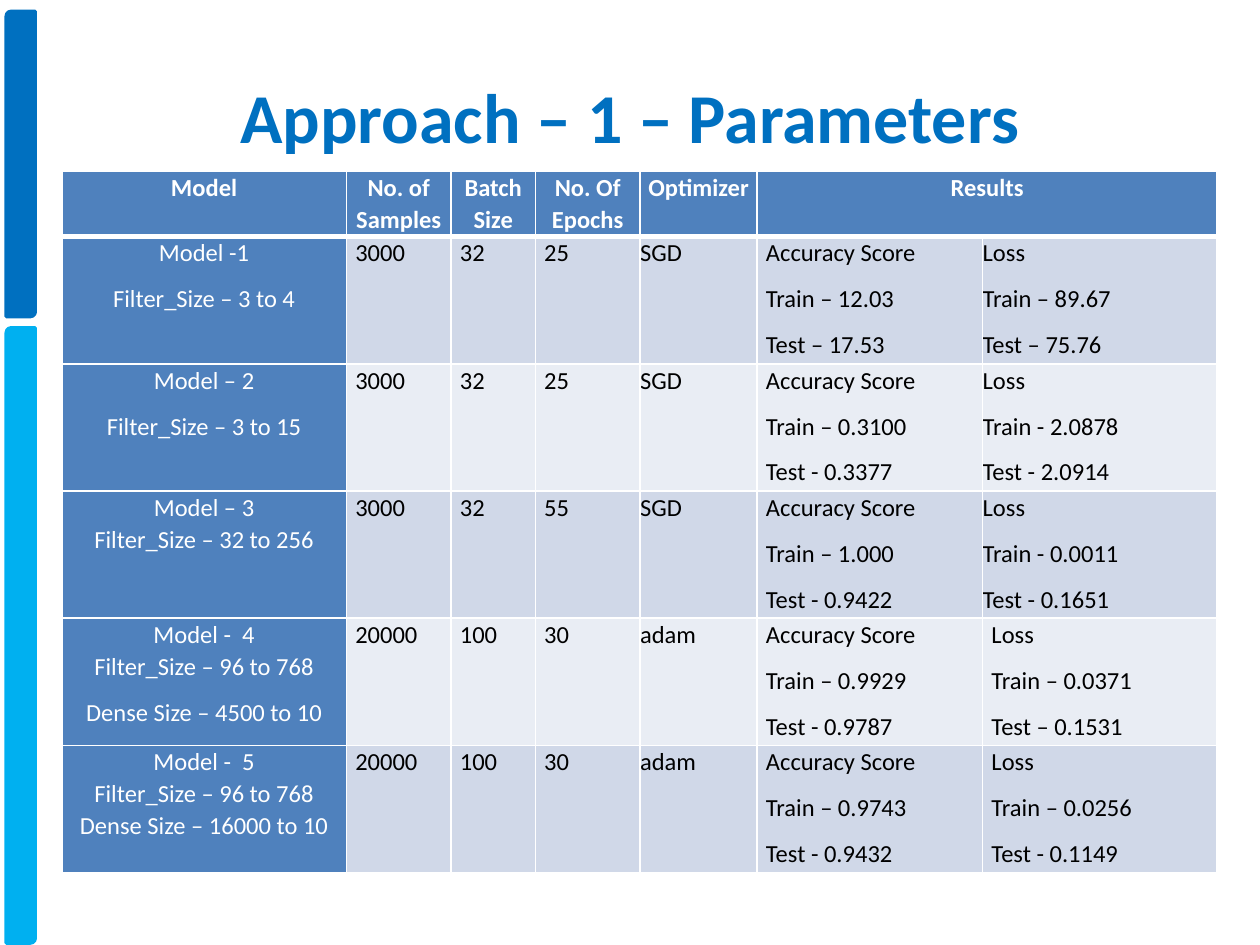
import copy
import dataclasses

import lxml.etree
import pptx
import pptx.dml.color
import pptx.enum.shapes
import pptx.enum.text
import pptx.oxml.ns
import pptx.util


@dataclasses.dataclass(frozen=True)
class Theme:
    """Hold the colours, font and type sizes of the slide."""

    font: str = "Calibri"
    title_size: int = 40
    cell_size: int = 14
    title: str = "0070C0"
    accent: str = "00B0F0"
    head: str = "4F81BD"
    bands: tuple = ("D0D8E8", "E9EDF4")
    white: str = "FFFFFF"
    black: str = "000000"


THEME = Theme()
WIDTH, HEIGHT = 10, 7.5
COLUMNS = (2.26, 0.83, 0.67, 0.83, 0.93, 1.79, 1.86)
HEAD_HEIGHT, ROW_HEIGHT = 0.52, 1.01
INSET = 0.07
OPTIMIZER, RESULTS, LOSS = 4, 5, 6
HEADINGS = ("Model", "No. of Samples", "Batch Size", "No. Of Epochs", "Optimizer", "Results", "")
MODELS = (
    ("Model -1\nFilter_Size – 3 to 4", "3000", "32", "25", "SGD",
     "Train – 12.03\nTest – 17.53", "Train – 89.67\nTest – 75.76"),
    ("Model – 2\nFilter_Size – 3 to 15", "3000", "32", "25", "SGD",
     "Train – 0.3100\nTest - 0.3377", "Train - 2.0878\nTest - 2.0914"),
    ("Model – 3\vFilter_Size – 32 to 256", "3000", "32", "55", "SGD",
     "Train – 1.000\nTest - 0.9422", "Train - 0.0011\nTest - 0.1651"),
    ("Model -  4\vFilter_Size – 96 to 768\nDense Size – 4500 to 10", "20000", "100", "30", "adam",
     "Train – 0.9929\nTest - 0.9787", "Train – 0.0371\nTest – 0.1531"),
    ("Model -  5\vFilter_Size – 96 to 768\vDense Size – 16000 to 10", "20000", "100", "30", "adam",
     "Train – 0.9743\nTest - 0.9432", "Train – 0.0256\nTest - 0.1149"),
)
FLUSH_LOSS_ROWS = (1, 2, 3)


def rgb(value):
    """Return a colour object for a hex string."""
    return pptx.dml.color.RGBColor.from_string(value)


def box(x, y, w, h):
    """Return a position and size given as shares of the slide."""
    return [pptx.util.Inches(n) for n in (x * WIDTH, y * HEIGHT, w * WIDTH, h * HEIGHT)]


def style_runs(p, size, color, bold):
    """Format the runs and line breaks of a paragraph."""
    for r in p.runs:
        r.font.name = THEME.font
        r.font.size = pptx.util.Pt(size)
        r.font.bold = bold
        r.font.color.rgb = rgb(color)
    for br in p._p.findall(pptx.oxml.ns.qn("a:br")):
        br.append(copy.deepcopy(p.runs[0].font._element))


def add_bar(s, top, height, color):
    """Add one bar at the left edge."""
    sp = s.shapes.add_shape(
        pptx.enum.shapes.MSO_SHAPE.ROUND_2_DIAG_RECTANGLE, *box(0.005, top, 0.023, height))
    sp.shadow.inherit = False
    sp.fill.solid()
    sp.fill.fore_color.rgb = rgb(color)
    sp.line.color.rgb = rgb(color)
    sp.line.width = pptx.util.Pt(2)


def set_title(s, text):
    """Place and format the title placeholder."""
    sp = s.shapes.title
    sp.left, sp.top, sp.width, sp.height = box(0.05, 0.039, 0.9, 0.167)
    tf = sp.text_frame
    tf.text = text
    tf.vertical_anchor = pptx.enum.text.MSO_ANCHOR.MIDDLE
    tf.paragraphs[0].alignment = pptx.enum.text.PP_ALIGN.CENTER
    style_runs(tf.paragraphs[0], THEME.title_size, THEME.title, True)


def set_borders(cell, top=1, bottom=1):
    """Draw white borders round a cell, with widths in points."""
    qn = pptx.oxml.ns.qn
    tc_pr = cell._tc.get_or_add_tcPr()
    for i, (side, width) in enumerate((("L", 1), ("R", 1), ("T", top), ("B", bottom))):
        ln = lxml.etree.Element(qn(f"a:ln{side}"), w=str(pptx.util.Pt(width)))
        fill = lxml.etree.SubElement(ln, qn("a:solidFill"))
        lxml.etree.SubElement(fill, qn("a:srgbClr"), val=THEME.white)
        tc_pr.insert(i, ln)


def fill_cell(cell, text, row, col):
    """Write one cell and style it by its row and column."""
    head = row == 0
    label = head or col == 0
    flush = col == OPTIMIZER or (col == LOSS and row in FLUSH_LOSS_ROWS)
    cell.margin_left = cell.margin_right = pptx.util.Inches(0 if flush else INSET)
    cell.margin_top = cell.margin_bottom = 0
    cell.fill.solid()
    cell.fill.fore_color.rgb = rgb(THEME.head if label else THEME.bands[(row - 1) % 2])
    set_borders(cell, top=3 if row == 1 else 1, bottom=3 if head else 1)
    if not text:
        return
    cell.text_frame.text = text
    align = pptx.enum.text.PP_ALIGN
    for p in cell.text_frame.paragraphs:
        p.alignment = align.CENTER if label else align.LEFT
        p.line_spacing = 1.07
        p.space_after = pptx.util.Pt(8)
        style_runs(p, THEME.cell_size, THEME.white if label else THEME.black, head)


def add_results_table(s):
    """Add the table of model parameters and results."""
    rows = [HEADINGS]
    for *parameters, accuracy, loss in MODELS:
        rows.append((*parameters, f"Accuracy Score\n{accuracy}", f"Loss\n{loss}"))
    heights = [HEAD_HEIGHT] + [ROW_HEIGHT] * len(MODELS)
    table = s.shapes.add_table(
        len(rows), len(COLUMNS),
        *box(0.049, 0.181, sum(COLUMNS) / WIDTH, sum(heights) / HEIGHT)).table
    for column, width in zip(table.columns, COLUMNS):
        column.width = pptx.util.Inches(width)
    for row, height in zip(table.rows, heights):
        row.height = pptx.util.Inches(height)
    for i, texts in enumerate(rows):
        for j, text in enumerate(texts):
            fill_cell(table.cell(i, j), text, i, j)
    table.cell(0, RESULTS).merge(table.cell(0, LOSS))


def main():
    """Build and save the slide."""
    prs = pptx.Presentation()
    prs.slide_width = pptx.util.Inches(WIDTH)
    prs.slide_height = pptx.util.Inches(HEIGHT)
    s = prs.slides.add_slide(prs.slide_layouts[5])
    add_bar(s, 0.012, 0.323, THEME.title)
    add_bar(s, 0.347, 0.651, THEME.accent)
    set_title(s, "Approach – 1 – Parameters")
    add_results_table(s)
    prs.save("out.pptx")


if __name__ == "__main__":
    main()
